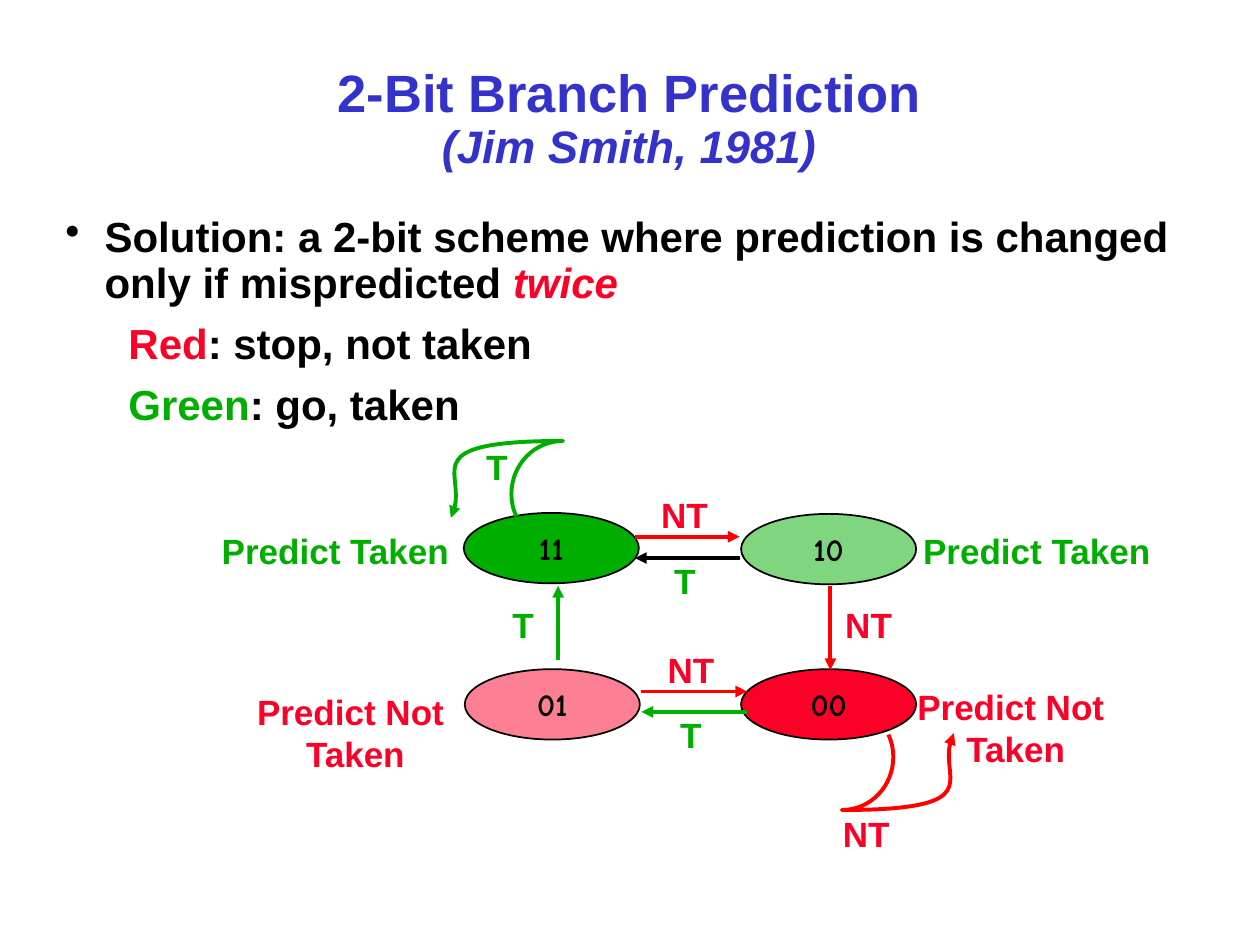
"""Build the 2-bit branch prediction slide with its state diagram."""
from typing import NamedTuple

import lxml.etree
import pptx
import pptx.dml.color
import pptx.enum.shapes
import pptx.enum.text
import pptx.oxml.ns
import pptx.util

Cm = pptx.util.Cm
Pt = pptx.util.Pt
qn = pptx.oxml.ns.qn
Align = pptx.enum.text.PP_ALIGN

COLORS = {
    "black": "000000",
    "title": "3333CC",
    "taken": "00AE00",
    "not taken": "FC0128",
    "red arrow": "FF0000",
}


class State(NamedTuple):
    bits: str
    left: float
    top: float
    color: str
    opacity: int


class Label(NamedTuple):
    text: str
    left: float
    top: float


class LabelStyle(NamedTuple):
    width: float
    height: float
    color: str
    align: Align


class Arrow(NamedTuple):
    start: tuple[float, float]
    end: tuple[float, float]
    color: str


class Span(NamedTuple):
    text: str
    color: str
    italic: bool = False


STATES = [
    State("11", 9.35, 10.34, "taken", 100),
    State("10", 14.94, 10.36, "taken", 50),
    State("01", 9.37, 13.49, "not taken", 50),
    State("00", 14.94, 13.49, "not taken", 100),
]
LABEL_STYLES = {
    "T": LabelStyle(0.94, 1.09, "taken", Align.LEFT),
    "NT": LabelStyle(1.45, 1.09, "not taken", Align.LEFT),
    "Predict Taken": LabelStyle(5.13, 1.09, "taken", Align.LEFT),
    "Predict Not \nTaken": LabelStyle(4.47, 1.93, "not taken", Align.CENTER),
}
LABELS = [
    Label("T", 9.55, 8.86),
    Label("T", 10.08, 12.04),
    Label("T", 13.34, 11.15),
    Label("T", 13.46, 14.25),
    Label("NT", 13.08, 9.83),
    Label("NT", 13.21, 12.95),
    Label("NT", 16.79, 12.04),
    Label("NT", 16.74, 16.26),
    Label("Predict Taken", 4.22, 10.54),
    Label("Predict Taken", 18.36, 10.54),
    Label("Predict Not \nTaken", 4.93, 13.79),
    Label("Predict Not \nTaken", 18.24, 13.69),
]
ARROWS = [
    Arrow((12.8, 10.82), (14.91, 10.82), "red arrow"),
    Arrow((14.91, 11.25), (12.8, 11.25), "black"),
    Arrow((12.93, 13.94), (15.06, 13.94), "red arrow"),
    Arrow((15.06, 14.35), (12.93, 14.35), "taken"),
    Arrow((11.25, 13.31), (11.25, 11.81), "taken"),
    Arrow((16.74, 11.81), (16.74, 13.51), "red arrow"),
]
TAKEN_LOOP = [
    (10.41, 10.41),
    (10.34, 10.26), (10.31, 10.11), (10.31, 9.96),
    (10.31, 9.37), (10.77, 8.89), (11.35, 8.89),
    (8.74, 8.89), (9.19, 9.37), (9.19, 9.96),
    (9.19, 10.13), (9.17, 10.29), (9.09, 10.44),
]
NOT_TAKEN_LOOP = [(28.32 - x, 25.22 - y) for x, y in TAKEN_LOOP]
BODY = [
    [
        Span("Solution: a 2-bit scheme where prediction is changed only if mispredicted ", "black"),
        Span("twice", "not taken", True),
    ],
    [Span("Red", "not taken"), Span(": stop, not taken", "black")],
    [Span("Green", "taken"), Span(": go, taken", "black")],
]


def rgb(color: str) -> pptx.dml.color.RGBColor:
    """Return the named colour."""
    return pptx.dml.color.RGBColor.from_string(COLORS[color])


def style_font(font, size: float, color: str, name: str = "Arial") -> None:
    """Set a bold font."""
    font.name, font.size, font.bold = name, Pt(size), True
    font.color.rgb = rgb(color)


def style_arrow(shape, color: str) -> None:
    """Give a line its colour, width and arrowhead."""
    shape.line.color.rgb = rgb(color)
    shape.line.width = Pt(2.25)
    properties = shape._element.spPr
    lxml.etree.SubElement(properties.find(qn("a:ln")), qn("a:tailEnd"), type="triangle")
    if properties.find(qn("a:effectLst")) is None:
        lxml.etree.SubElement(properties, qn("a:effectLst"))


def draw_title(slide) -> None:
    """Draw the two-line title."""
    frame = slide.shapes.add_textbox(Cm(2.74), Cm(0.84), Cm(19.89), Cm(3.18)).text_frame
    frame.word_wrap = True
    frame.vertical_anchor = pptx.enum.text.MSO_ANCHOR.MIDDLE
    paragraph = frame.paragraphs[0]
    paragraph.alignment, paragraph.line_spacing = Align.CENTER, 0.9
    style_font(paragraph.font, 30, "title")
    paragraph.add_run().text = "2-Bit Branch Prediction"
    paragraph.add_line_break()
    author = paragraph.add_run()
    author.text = "(Jim Smith, 1981)"
    author.font.size, author.font.italic = Pt(26), True


def draw_body(slide) -> None:
    """Draw the bullet and its two sub-items."""
    frame = slide.shapes.add_textbox(Cm(1.07), Cm(4.24), Cm(23.29), Cm(14.17)).text_frame
    frame.word_wrap = True
    for index, spans in enumerate(BODY):
        paragraph = frame.add_paragraph() if index else frame.paragraphs[0]
        margin, indent = (1.9, -0.63) if index else (0.79, -0.79)
        properties = paragraph._p.get_or_add_pPr()
        properties.set("marL", str(Cm(margin)))
        properties.set("indent", str(Cm(indent)))
        if index:
            lxml.etree.SubElement(properties, qn("a:buNone"))
            paragraph.level = 1
            paragraph.space_before = Pt(9)
        else:
            bullet_color = lxml.etree.SubElement(properties, qn("a:buClr"))
            lxml.etree.SubElement(bullet_color, qn("a:srgbClr"), val=COLORS["black"])
            lxml.etree.SubElement(properties, qn("a:buChar"), char="•")
        paragraph.line_spacing = 0.9
        style_font(paragraph.font, 24, "black")
        for span in spans:
            run = paragraph.add_run()
            run.text = span.text
            run.font.color.rgb = rgb(span.color)
            run.font.italic = span.italic


def draw_state(slide, state: State) -> None:
    """Draw one predictor state."""
    shape = slide.shapes.add_shape(
        pptx.enum.shapes.MSO_SHAPE.OVAL, Cm(state.left), Cm(state.top), Cm(3.53), Cm(1.42))
    shape.shadow.inherit = False
    shape.fill.solid()
    shape.fill.fore_color.rgb = rgb(state.color)
    if state.opacity < 100:
        fill_color = shape._element.spPr.find(qn("a:solidFill")).find(qn("a:srgbClr"))
        lxml.etree.SubElement(fill_color, qn("a:alpha"), val=str(state.opacity * 1000))
    shape.line.color.rgb = rgb("black")
    shape.line.width = Pt(1)
    frame = shape.text_frame
    frame.word_wrap = False
    frame.text = state.bits
    frame.paragraphs[0].alignment = Align.CENTER
    style_font(frame.paragraphs[0].font, 18, "black", "Comic Neue")


def draw_label(slide, label: Label) -> None:
    """Draw one transition or prediction label."""
    style = LABEL_STYLES[label.text]
    frame = slide.shapes.add_textbox(
        Cm(label.left), Cm(label.top), Cm(style.width), Cm(style.height)).text_frame
    frame.word_wrap = False
    frame.auto_size = pptx.enum.text.MSO_AUTO_SIZE.SHAPE_TO_FIT_TEXT
    frame.text = label.text
    for paragraph in frame.paragraphs:
        paragraph.alignment = style.align
        style_font(paragraph.font, 20, style.color)


def draw_arrow(slide, arrow: Arrow) -> None:
    """Draw one straight transition."""
    connector = slide.shapes.add_connector(
        pptx.enum.shapes.MSO_CONNECTOR.STRAIGHT, *map(Cm, arrow.start + arrow.end))
    style_arrow(connector, arrow.color)


def draw_loop(slide, points: list[tuple[float, float]], color: str) -> None:
    """Draw a self-transition through cubic Bézier points."""
    start, *controls = [(Cm(x), Cm(y)) for x, y in points]
    builder = slide.shapes.build_freeform(*start)
    builder.add_line_segments(controls, close=False)
    shape = builder.convert_to_shape()
    shape.shadow.inherit = False
    shape.fill.background()
    outline = next(shape._element.iter(qn("a:path")))
    segments = outline.findall(qn("a:lnTo"))
    for first in range(0, len(segments), 3):
        curve = lxml.etree.SubElement(outline, qn("a:cubicBezTo"))
        for segment in segments[first:first + 3]:
            curve.append(segment[0])
            outline.remove(segment)
    style_arrow(shape, color)


def main() -> None:
    """Build and save the presentation."""
    presentation = pptx.Presentation()
    presentation.slide_width, presentation.slide_height = Cm(25.4), Cm(19.05)
    slide = presentation.slides.add_slide(presentation.slide_layouts[6])
    draw_body(slide)
    draw_title(slide)
    for state in STATES:
        draw_state(slide, state)
    draw_loop(slide, TAKEN_LOOP, "taken")
    draw_loop(slide, NOT_TAKEN_LOOP, "red arrow")
    for arrow in ARROWS:
        draw_arrow(slide, arrow)
    for label in LABELS:
        draw_label(slide, label)
    presentation.save("out.pptx")


if __name__ == "__main__":
    main()
